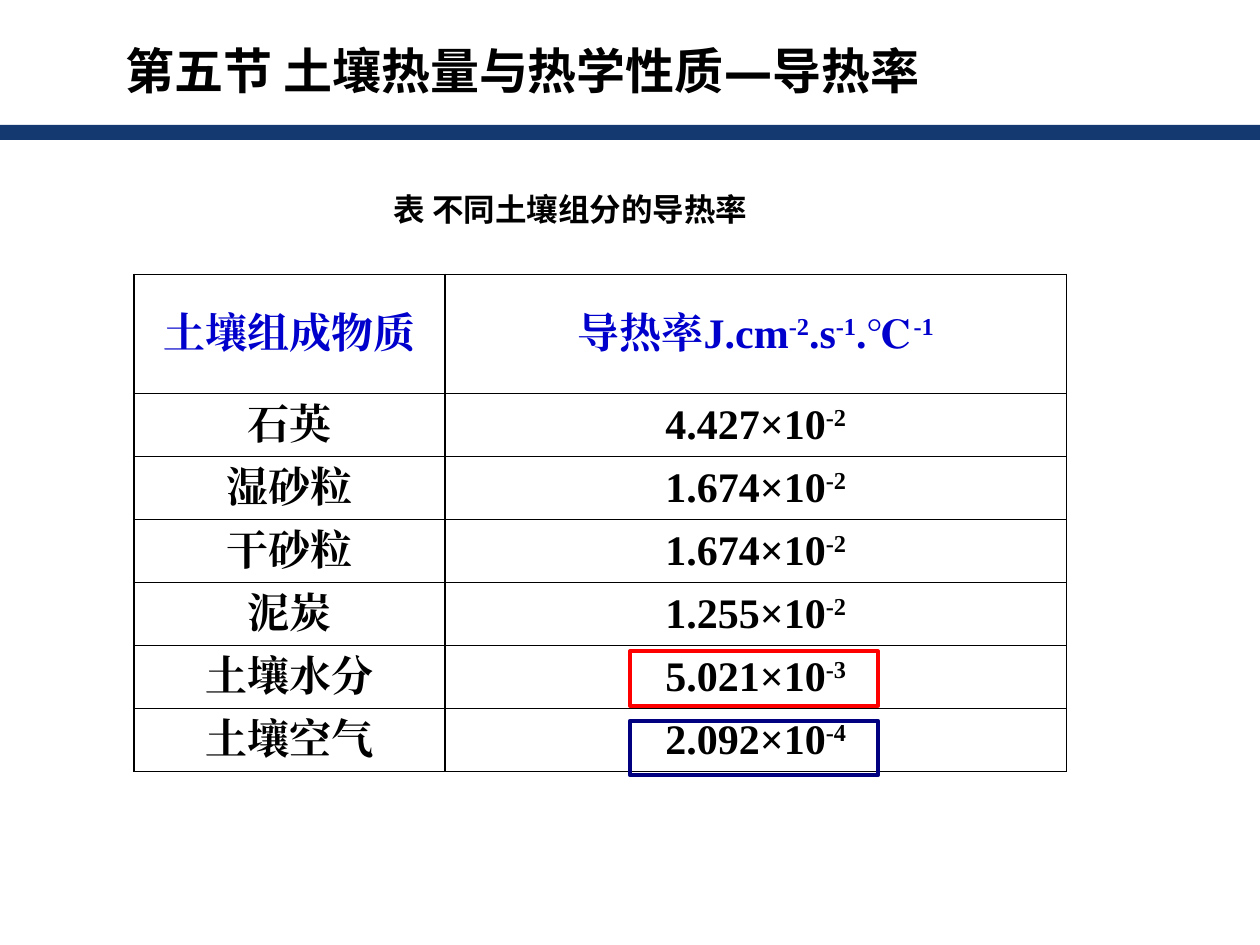
"""Build the slide on the thermal conductivity of soil components."""
from dataclasses import dataclass

from lxml import etree
from pptx import Presentation
from pptx.dml.color import RGBColor
from pptx.enum.shapes import MSO_SHAPE
from pptx.enum.text import MSO_ANCHOR, PP_ALIGN
from pptx.oxml.ns import qn
from pptx.util import Cm, Pt

RECT = MSO_SHAPE.RECTANGLE
MIDDLE, TOP = MSO_ANCHOR.MIDDLE, MSO_ANCHOR.TOP
CENTER, LEFT = PP_ALIGN.CENTER, PP_ALIGN.LEFT


@dataclass(frozen=True)
class Theme:
    ink: str = "000000"
    band: str = "143970"
    head: str = "0000CC"
    hot: str = "FF0000"
    cool: str = "000080"
    title: int = 28
    caption: int = 18
    cell: int = 24
    cjk: str = "Noto Sans CJK SC"
    dash: str = "DejaVu Sans"
    latin: str = "Calibri"
    serif: str = "Times New Roman"


class SlideBuilder:
    def __init__(self, prs, theme):
        self.theme = theme
        self.s = prs.slides.add_slide(prs.slide_layouts[6])

    def run(self, p, text, size, font, ea, color, sup=False):
        r = p.add_run()
        r.text = text
        r.font.size, r.font.bold, r.font.name = Pt(size), True, font
        r.font.color.rgb = RGBColor.from_string(color)
        rpr = r.font._element
        etree.SubElement(rpr, qn("a:ea")).set("typeface", ea)
        if sup:
            rpr.set("baseline", "30000")

    def text(self, box, runs, size, align=LEFT, anchor=TOP, hang=0):
        tf = self.s.shapes.add_textbox(*map(Cm, box)).text_frame
        tf.word_wrap, tf.vertical_anchor = True, anchor
        p = tf.paragraphs[0]
        p.alignment = align
        if hang:
            ppr = p._p.get_or_add_pPr()
            ppr.set("marL", str(Cm(hang)))
            ppr.set("indent", str(-Cm(hang)))
        for text, font, ea in runs:
            self.run(p, text, size, font, ea, self.theme.ink)

    def rect(self, box, fill=None, line=None):
        sp = self.s.shapes.add_shape(RECT, *map(Cm, box))
        sp.shadow.inherit = False
        if fill:
            sp.fill.solid()
            sp.fill.fore_color.rgb = RGBColor.from_string(fill)
        else:
            sp.fill.background()
        if line:
            sp.line.color.rgb = RGBColor.from_string(line)
            sp.line.width = Pt(2.25)
        else:
            sp.line.fill.background()

    def borders(self, cell):
        tcpr = cell._tc.get_or_add_tcPr()
        for tag in ("a:lnL", "a:lnR", "a:lnT", "a:lnB"):
            ln = etree.SubElement(tcpr, qn(tag), w=str(Pt(1)))
            fill = etree.SubElement(ln, qn("a:solidFill"))
            etree.SubElement(fill, qn("a:srgbClr"), val=self.theme.ink)

    def cell(self, cell, parts, color):
        t = self.theme
        self.borders(cell)
        cell.fill.background()
        cell.vertical_anchor = MIDDLE
        p = cell.text_frame.paragraphs[0]
        p.alignment = CENTER
        for i, part in enumerate(parts):
            self.run(p, part, t.cell, t.serif, t.serif, color, sup=i % 2 == 1)

    def table(self, left, top, widths, heights, rows):
        """Fill cells from parts that alternate between normal and superscript."""
        frame = self.s.shapes.add_table(len(rows), len(widths), Cm(left), Cm(top),
                                        Cm(sum(widths)), Cm(sum(heights)))
        tbl = frame.table
        tbl.first_row = tbl.horz_banding = False
        for col, width in zip(tbl.columns, widths):
            col.width = Cm(width)
        for i, (row, height) in enumerate(zip(rows, heights)):
            tbl.rows[i].height = Cm(height)
            for j, parts in enumerate(row):
                self.cell(tbl.cell(i, j), parts, self.theme.ink if i else self.theme.head)


def main():
    prs = Presentation()
    prs.slide_width, prs.slide_height = Cm(25.4), Cm(19.05)
    t = Theme()
    b = SlideBuilder(prs, t)
    b.rect((0, 2.52, 25.4, 0.3), fill=t.band)
    b.text((2.28, 0.7, 20.6, 1.45),
           [("第五节 土壤热量与热学性质", t.cjk, t.cjk), ("—", t.dash, t.dash),
            ("导热率", t.cjk, t.cjk)], t.title, hang=1.27)
    b.text((6.1, 3.58, 10.8, 1.27), [("表 不同土壤组分的导热率", t.latin, t.cjk)],
           t.caption, CENTER, MIDDLE)

    values = [("石英", "4.427", "-2"), ("湿砂粒", "1.674", "-2"),
              ("干砂粒", "1.674", "-2"), ("泥炭", "1.255", "-2"),
              ("土壤水分", "5.021", "-3"), ("土壤空气", "2.092", "-4")]
    header = [["土壤组成物质"], ["导热率J.cm", "-2", ".s", "-1", ".℃", "-1"]]
    rows = [header] + [[[name], [f"{num}×10", power]] for name, num, power in values]
    b.table(2.7, 5.53, [6.27, 12.53], [2.4] + [1.27] * len(values), rows)

    for top, color in ((13.13, t.hot), (14.53, t.cool)):
        b.rect((12.7, top, 5, 1.1), line=color)
    prs.save("out.pptx")


if __name__ == "__main__":
    main()
